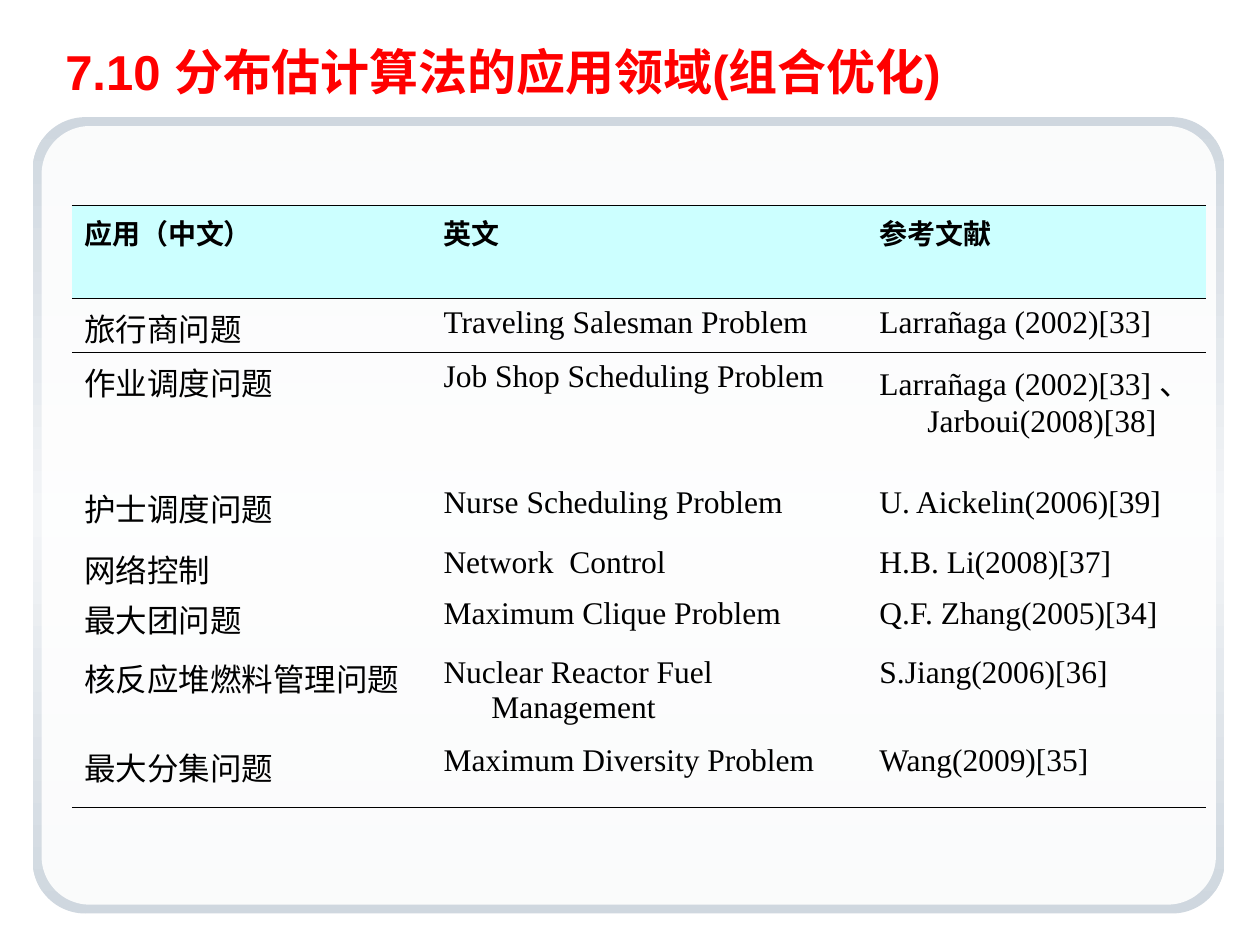
from dataclasses import dataclass

from pptx import Presentation
from pptx.dml.color import RGBColor
from pptx.enum.shapes import MSO_SHAPE
from pptx.enum.text import MSO_ANCHOR
from pptx.oxml.ns import qn
from pptx.util import Inches, Pt
from lxml.etree import SubElement


@dataclass(frozen=True)
class Theme:
    title: str = "FF0000"
    ink: str = "000000"
    header: str = "CCFFFF"
    panel: str = "FFFFFF"
    frame_edge: str = "CFD7DF"
    frame_middle: str = "F3F5F7"
    title_font: str = "Arial"
    body_font: str = "Times New Roman"
    title_size: float = 28
    header_size: float = 16
    body_size: float = 18
    outer_rule: float = 0.96
    inner_rule: float = 0.45


THEME = Theme()
NO_STYLE = "{2D5ABB26-0587-4C30-8999-92F81FD0307C}"
COLUMN_WIDTHS = (2.85, 3.46, 2.69)
ROW_HEIGHTS = (0.74, 0.43, 0.7, 0.48, 0.4, 0.47, 0.7, 0.56)
APPLICATIONS = (
    ("应用（中文）", "英文", "参考文献"),
    ("旅行商问题", "Traveling Salesman Problem", "Larrañaga (2002)[33]"),
    ("作业调度问题", "Job Shop Scheduling Problem",
     "Larrañaga (2002)[33] 、Jarboui(2008)[38]"),
    ("护士调度问题", "Nurse Scheduling Problem", "U. Aickelin(2006)[39]"),
    ("网络控制", "Network  Control", "H.B. Li(2008)[37]"),
    ("最大团问题", "Maximum Clique Problem", "Q.F. Zhang(2005)[34]"),
    ("核反应堆燃料管理问题", "Nuclear Reactor Fuel Management", "S.Jiang(2006)[36]"),
    ("最大分集问题", "Maximum Diversity Problem", "Wang(2009)[35]"),
)


def style_font(para, name, size, color, bold):
    para.font.name = name
    para.font.size = Pt(size)
    para.font.bold = bold
    para.font.color.rgb = RGBColor.from_string(color)


def add_rounded(page, box, corner):
    shape = page.shapes.add_shape(MSO_SHAPE.ROUNDED_RECTANGLE, *map(Inches, box))
    shape.adjustments[0] = corner
    shape.shadow.inherit = False
    shape.line.fill.background()
    return shape


def add_panel(page, box):
    """Gradient frame with a translucent panel just inside it."""
    frame = add_rounded(page, box, 0.066)
    frame.fill.gradient()
    frame.fill.gradient_angle = 90
    stops = frame._element.spPr.find(qn("a:gradFill")).find(qn("a:gsLst"))
    for stop in list(stops):
        stops.remove(stop)
    colors = (THEME.frame_edge, THEME.frame_middle, THEME.frame_edge)
    for position, color in zip((0, 50000, 100000), colors):
        stop = SubElement(stops, qn("a:gs"), pos=str(position))
        SubElement(stop, qn("a:srgbClr"), val=color)

    left, top, width, height = box
    inset = 0.07
    panel = add_rounded(
        page, (left + inset, top + inset, width - 2 * inset, height - 2 * inset), 0.062)
    panel.fill.solid()
    panel.fill.fore_color.rgb = RGBColor.from_string(THEME.panel)
    color = panel._element.spPr.find(qn("a:solidFill")).find(qn("a:srgbClr"))
    SubElement(color, qn("a:alpha"), val="90000")


def add_title(page, box, text):
    frame = page.shapes.add_textbox(*map(Inches, box)).text_frame
    frame.word_wrap = True
    frame.vertical_anchor = MSO_ANCHOR.MIDDLE
    para = frame.paragraphs[0]
    para.text = text
    style_font(para, THEME.title_font, THEME.title_size, THEME.title, True)


def set_rule(cell, side, width):
    line = SubElement(cell._tc.get_or_add_tcPr(), qn(f"a:{side}"), w=str(Pt(width)))
    SubElement(SubElement(line, qn("a:solidFill")), qn("a:srgbClr"), val=THEME.ink)


def fill_cell(cell, text, is_header):
    if is_header:
        cell.fill.solid()
        cell.fill.fore_color.rgb = RGBColor.from_string(THEME.header)
    else:
        cell.fill.background()
    para = cell.text_frame.paragraphs[0]
    para.text = text
    properties = para._p.get_or_add_pPr()
    properties.set("marL", str(Inches(0.38)))
    properties.set("indent", str(Inches(-0.38)))
    size = THEME.header_size if is_header else THEME.body_size
    style_font(para, THEME.body_font, size, THEME.ink, is_header)


def add_applications(page, box):
    """Table ruled above, below and under its header row."""
    last = len(APPLICATIONS) - 1
    table = page.shapes.add_table(
        len(APPLICATIONS), len(COLUMN_WIDTHS), *map(Inches, box)).table
    table.horz_banding = False
    table.first_row = False
    table._tbl.tblPr.find(qn("a:tableStyleId")).text = NO_STYLE
    for column, width in zip(table.columns, COLUMN_WIDTHS):
        column.width = Inches(width)
    for row, height in zip(table.rows, ROW_HEIGHTS):
        row.height = Inches(height)

    top_rules = {0: THEME.outer_rule, 1: THEME.inner_rule}
    bottom_rules = {0: THEME.inner_rule, last: THEME.outer_rule}
    for row_index, texts in enumerate(APPLICATIONS):
        for column_index, text in enumerate(texts):
            cell = table.cell(row_index, column_index)
            for side, rules in (("lnT", top_rules), ("lnB", bottom_rules)):
                if row_index in rules:
                    set_rule(cell, side, rules[row_index])
            fill_cell(cell, text, row_index == 0)


def main():
    deck = Presentation()
    deck.slide_width, deck.slide_height = Inches(10), Inches(7.5)
    page = deck.slides.add_slide(deck.slide_layouts[6])
    add_panel(page, (0.26, 0.93, 9.46, 6.32))
    add_title(page, (0.42, 0.25, 9.33, 0.62), "7.10 分布估计算法的应用领域(组合优化)")
    add_applications(page, (0.57, 1.63, sum(COLUMN_WIDTHS), sum(ROW_HEIGHTS)))
    deck.save("out.pptx")


if __name__ == "__main__":
    main()
